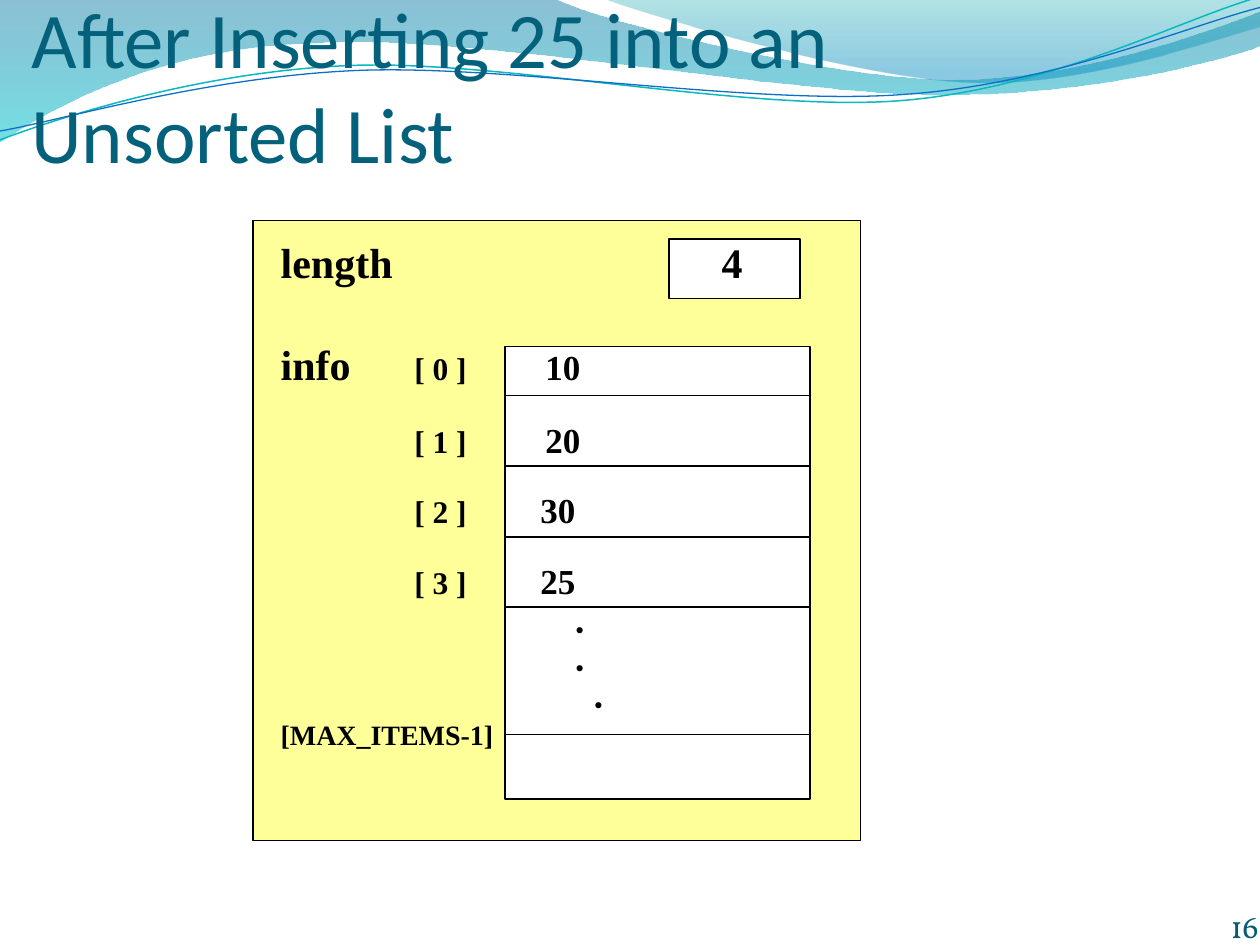
import math
from dataclasses import dataclass

from lxml import etree
from pptx import Presentation
from pptx import util as u
from pptx.dml.color import RGBColor
from pptx.enum import shapes, text
from pptx.oxml.ns import qn


@dataclass(frozen=True)
class Theme:
    title: str = "04617B"
    number: str = "045D75"
    ink: str = "000000"
    panel: str = "FFFF99"
    cell: str = "FFFFFF"
    heading_font: str = "Calibri"
    number_font: str = "Vollkorn"
    body_font: str = "Times New Roman"
    dot_font: str = "Montserrat"
    title_size: float = 45
    label_size: float = 24
    value_size: float = 20
    index_size: float = 18
    last_size: float = 16


@dataclass(frozen=True)
class Stop:
    position: float
    color: str
    opacity: int


@dataclass(frozen=True)
class Wave:
    """A start point followed by line (2 numbers) or Bézier (6 numbers) segments."""
    start: tuple
    segments: tuple
    stops: tuple = ()
    line: str = ""
    width: float = 0
    center: tuple = (0, 0)
    tilt: float = 0


@dataclass(frozen=True)
class Span:
    words: str
    size: float
    font: str = Theme.body_font


@dataclass(frozen=True)
class Row:
    spans: tuple
    tabs: tuple = ()
    before: float = 0


THEME = Theme()

WAVES = (
    Wave((0, 0), ((4.4, -0.01), (4.76, 0.17, 6.64, 0.63, 7.58, 0.63),
                  (8.53, 0.63, 9.58, 0.26, 10, 0.09), (10.01, 0.36),
                  (9.83, 0.44, 8.7, 0.76, 7.46, 0.75),
                  (6.22, 0.75, 3.82, 0.28, 2.57, 0.34),
                  (1.29, 0.36, 0.46, 0.83, -0.01, 1.13)),
         stops=(Stop(0, "0074A1", 45), Stop(1, "00C6CF", 55))),
    Wave((4.79, -0.01), ((5.09, 0.11, 6.82, 0.62, 7.69, 0.65),
                         (8.56, 0.69, 9.61, 0.32, 10, 0.21), (10, 0)),
         stops=(Stop(0, "00A1A9", 30), Stop(0.8, "008BBF", 45))),
    Wave((0, 1.11), ((0.48, 0.93, 1.58, 0.57, 2.77, 0.52),
                     (3.95, 0.47, 5.93, 0.89, 7.13, 0.8),
                     (8.33, 0.71, 9.38, 0.15, 9.98, -0.02)),
         line="0AB8BF", width=0.85, center=(4.99, 0.57), tilt=-2.7),
    Wave((0, 1.04), ((0.47, 0.96, 1.64, 0.61, 2.83, 0.56),
                     (4.03, 0.51, 5.97, 0.84, 7.17, 0.75),
                     (8.36, 0.67, 9.41, 0.21, 10, 0.06)),
         line="0F6FC6", width=0.75, center=(5, 0.59), tilt=-2.7),
)

PANEL = (2.01, 1.75, 4.82, 4.92)
LENGTH_CELL = (5.31, 1.9, 1.04, 0.47)
ARRAY = (4.01, 2.75, 2.42, 3.59)
DIVIDERS = [3.14 + 0.56 * step for step in range(4)] + [5.83]


def item_row(index: int, value: int) -> Row:
    label = "info" if index == 0 else ""
    return Row((Span(label, THEME.label_size),
                Span(f"\t[ {index} ]\t", THEME.index_size),
                Span(str(value), THEME.value_size)),
               (1.06, 2.1 if index < 2 else 2.06), 16.5 if index else 29.5)


def dot_row(words: str) -> Row:
    return Row((Span(words, THEME.index_size, THEME.dot_font),), (2.34, 2.49))


ROWS = (
    Row((Span("length\t4", THEME.label_size),), (3.5,)),
    *(item_row(index, value) for index, value in enumerate((10, 20, 30, 25))),
    dot_row("\t."),
    dot_row("\t.\n\t\t."),
    Row((Span("[MAX_ITEMS-1]", THEME.last_size),), before=1.5),
)


def rgb(color: str) -> RGBColor:
    return RGBColor.from_string(color)


def untilted(point: tuple, wave: Wave) -> tuple:
    """Where the point lies before the wave is turned by its tilt."""
    angle = math.radians(-wave.tilt)
    dx, dy = point[0] - wave.center[0], point[1] - wave.center[1]
    return (u.Inches(wave.center[0] + dx * math.cos(angle) - dy * math.sin(angle)),
            u.Inches(wave.center[1] + dx * math.sin(angle) + dy * math.cos(angle)))


def bend(shape, segments: tuple) -> None:
    """Join each three straight steps of a Bézier segment into one curve."""
    steps = iter(list(shape.element.iter(qn("a:lnTo"))))
    for segment in segments:
        first = next(steps)
        if len(segment) == 6:
            curve = etree.Element(qn("a:cubicBezTo"))
            first.addprevious(curve)
            for step in (first, next(steps), next(steps)):
                curve.append(step[0])
                step.getparent().remove(step)


def draw_wave(page, wave: Wave) -> None:
    points = [segment[i:i + 2] for segment in wave.segments for i in range(0, len(segment), 2)]
    builder = page.shapes.build_freeform(*untilted(wave.start, wave))
    builder.add_line_segments([untilted(point, wave) for point in points],
                              close=bool(wave.stops))
    shape = builder.convert_to_shape()
    bend(shape, wave.segments)
    shape.rotation = wave.tilt
    shape.shadow.inherit = False
    if not wave.stops:
        shape.fill.background()
        shape.line.color.rgb = rgb(wave.line)
        shape.line.width = u.Pt(wave.width)
        return
    shape.line.fill.background()
    shape.fill.gradient()
    shape.fill.gradient_angle = 270
    for target, stop in zip(shape.fill.gradient_stops, wave.stops):
        target.position = stop.position
        target.color.rgb = rgb(stop.color)
    for color, stop in zip(shape.element.spPr.iter(qn("a:srgbClr")), wave.stops):
        etree.SubElement(color, qn("a:alpha"), val=str(stop.opacity * 1000))


def draw_rectangle(page, bounds: tuple, fill: str) -> None:
    shape = page.shapes.add_shape(shapes.MSO_SHAPE.RECTANGLE, *map(u.Inches, bounds))
    shape.shadow.inherit = False
    shape.fill.solid()
    shape.fill.fore_color.rgb = rgb(fill)
    shape.line.color.rgb = rgb(THEME.ink)
    shape.line.width = u.Pt(1)


def draw_divider(page, y: float) -> None:
    left, _, width, _ = ARRAY
    line = page.shapes.add_connector(shapes.MSO_CONNECTOR.STRAIGHT, u.Inches(left),
                                     u.Inches(y), u.Inches(left + width), u.Inches(y))
    line.line.color.rgb = rgb(THEME.ink)
    line.line.width = u.Pt(1)
    etree.SubElement(line.element.spPr, qn("a:effectLst"))


def write(para, words: str, *, font: str, size: float, color: str, bold: bool = False) -> None:
    for number, line in enumerate(words.split("\n")):
        if number:
            para.add_line_break()
        span = para.add_run()
        span.text = line
        span.font.name, span.font.size, span.font.bold = font, u.Pt(size), bold
        span.font.color.rgb = rgb(color)


def set_frame(box, bounds: tuple, margins: tuple, anchor) -> None:
    box.left, box.top, box.width, box.height = map(u.Inches, bounds)
    frame = box.text_frame
    frame.word_wrap = True
    frame.auto_size = text.MSO_AUTO_SIZE.NONE
    frame.vertical_anchor = anchor
    (frame.margin_left, frame.margin_top,
     frame.margin_right, frame.margin_bottom) = map(u.Inches, margins)


def draw_title(page) -> None:
    box = page.shapes.title
    box.element.getparent().append(box.element)  # in front of the waves
    set_frame(box, (0.25, 0, 9.42, 1.42), (0, 0.05, 0, 0), text.MSO_ANCHOR.BOTTOM)
    para = box.text_frame.paragraphs[0]
    para.alignment = text.PP_ALIGN.LEFT
    write(para, "After Inserting 25 into an\nUnsorted List", font=THEME.heading_font,
          size=THEME.title_size, color=THEME.title)


def draw_number(page) -> None:
    box = page.shapes.add_textbox(0, 0, 0, 0)
    set_frame(box, (7.91, 7, 2.08, 0.5), (0, 0, 0, 0), text.MSO_ANCHOR.BOTTOM)
    para = box.text_frame.paragraphs[0]
    para.alignment = text.PP_ALIGN.RIGHT
    write(para, "16", font=THEME.number_font, size=THEME.index_size, color=THEME.number)


def draw_rows(page) -> None:
    box = page.shapes.add_textbox(0, 0, 0, 0)
    set_frame(box, (2.13, 1.83, 3.87, 4.48), (0.1, 0.05, 0.1, 0.05), text.MSO_ANCHOR.TOP)
    frame = box.text_frame
    for number, row in enumerate(ROWS):
        para = frame.add_paragraph() if number else frame.paragraphs[0]
        if row.tabs:
            tabs = etree.SubElement(para._p.get_or_add_pPr(), qn("a:tabLst"))
            for tab in row.tabs:
                etree.SubElement(tabs, qn("a:tab"), pos=str(u.Inches(tab)), algn="l")
        if row.before:
            para.space_before = u.Pt(row.before)
        for span in filter(lambda item: item.words, row.spans):
            write(para, span.words, font=span.font, size=span.size, color=THEME.ink, bold=True)


def main() -> None:
    deck = Presentation()
    deck.slide_width, deck.slide_height = u.Inches(10), u.Inches(7.5)
    page = deck.slides.add_slide(deck.slide_layouts[5])
    for wave in WAVES:
        draw_wave(page, wave)
    draw_title(page)
    draw_number(page)
    for bounds, fill in ((PANEL, THEME.panel), (LENGTH_CELL, THEME.cell), (ARRAY, THEME.cell)):
        draw_rectangle(page, bounds, fill)
    for y in DIVIDERS:
        draw_divider(page, y)
    draw_rows(page)
    deck.save("out.pptx")


if __name__ == "__main__":
    main()
